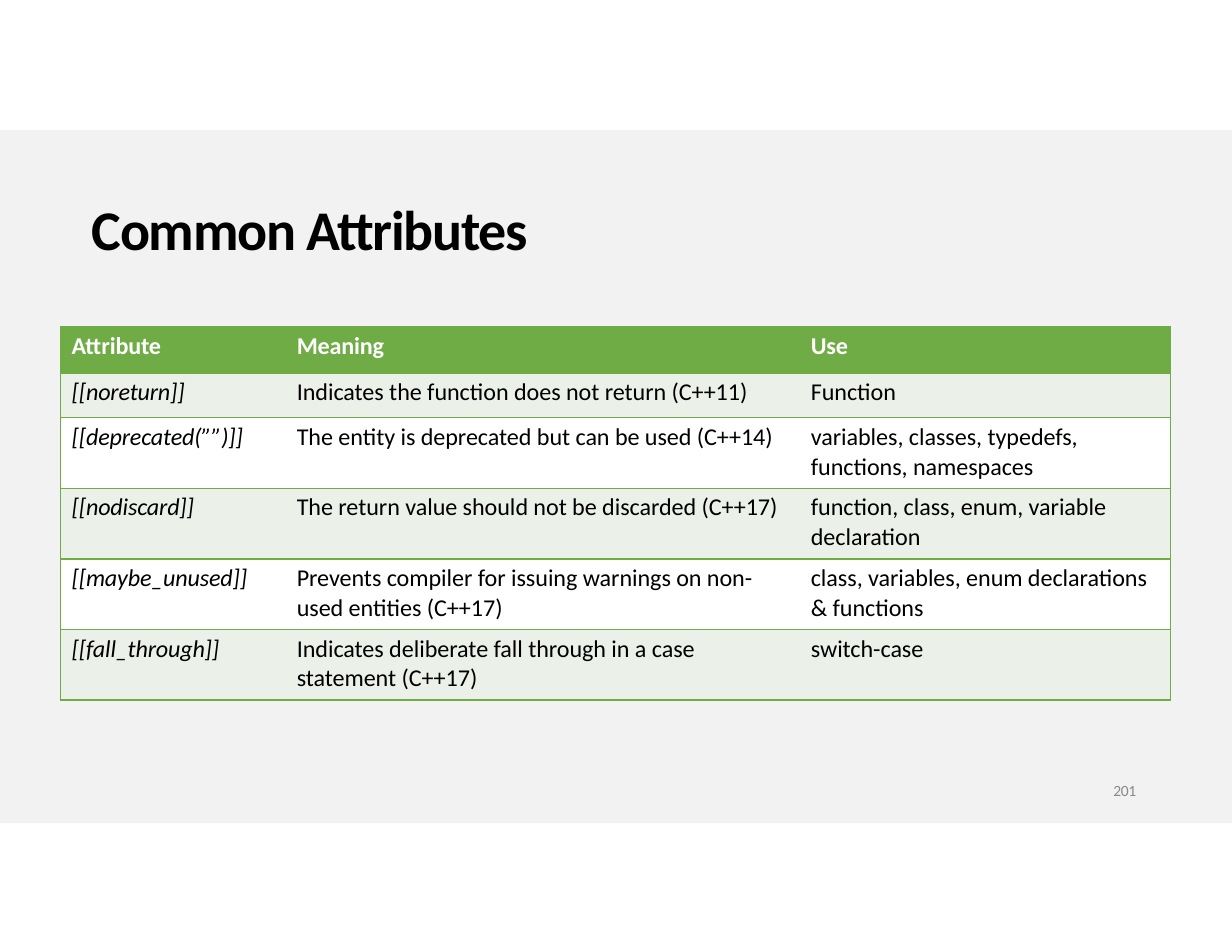
from lxml.etree import SubElement
from pptx import Presentation
from pptx.dml.color import RGBColor
from pptx.enum.shapes import MSO_SHAPE
from pptx.enum.text import MSO_ANCHOR, MSO_AUTO_SIZE, PP_ALIGN
from pptx.oxml.ns import qn
from pptx.util import Inches, Pt

COLORS = {
    "band": "F2F2F2",
    "green": "70AC46",
    "tint": "EBF0E8",
    "white": "FFFFFF",
    "black": "000000",
    "gray": "898989",
}
COLUMN_WIDTHS = [1.91, 4.68, 3.32]
COLUMN_INSETS = [0.1, 0.2, 0.11]
ROW_HEIGHTS = [0.41, 0.4] + [0.63] * 4
ROWS = [
    ("Attribute", "Meaning", "Use"),
    ("[[noreturn]]", "Indicates the function does not return (C++11)", "Function"),
    ("[[deprecated(””)]]", "The entity is deprecated but can be used (C++14)",
     "variables, classes, typedefs, functions, namespaces"),
    ("[[nodiscard]]", "The return value should not be discarded (C++17)",
     "function, class, enum, variable declaration"),
    ("[[maybe_unused]]", "Prevents compiler for issuing warnings on non- used entities (C++17)",
     "class, variables, enum declarations & functions"),
    ("[[fall_through]]", "Indicates deliberate fall through in a case statement (C++17)",
     "switch-case"),
]


def rgb(name):
    return RGBColor.from_string(COLORS[name])


def style_text(paragraph, size, color, bold=False, italic=False, spacing=0):
    for run in paragraph.runs:
        font = run.font
        font.name, font.size = "Calibri", Pt(size)
        font.bold, font.italic = bold, italic
        font.color.rgb = rgb(color)
        run._r.get_or_add_rPr().set("spc", str(round(spacing * 100)))


def set_frame(text_frame, top_inset):
    text_frame.word_wrap = True
    text_frame.auto_size = MSO_AUTO_SIZE.NONE
    text_frame.vertical_anchor = MSO_ANCHOR.TOP
    text_frame.margin_left = text_frame.margin_right = text_frame.margin_bottom = 0
    text_frame.margin_top = Inches(top_inset)


def add_band(slide):
    band = slide.shapes.add_shape(
        MSO_SHAPE.RECTANGLE, 0, Inches(1.16), Inches(11), Inches(6.19))
    band.shadow.inherit = False
    band.fill.solid()
    band.fill.fore_color.rgb = rgb("band")
    band.line.fill.background()
    # Send the band behind the title
    slide.shapes._spTree.insert(2, band._element)


def set_title(slide, text):
    title = slide.shapes.title
    title.left, title.top = Inches(0.82), Inches(1.7)
    title.width, title.height = Inches(7.23), Inches(0.64)
    set_frame(title.text_frame, 0.04)
    title.text_frame.text = text
    paragraph = title.text_frame.paragraphs[0]
    paragraph.alignment = PP_ALIGN.LEFT
    style_text(paragraph, 36, "black", bold=True, spacing=-0.85)


def set_borders(cell, visible_sides):
    properties = cell._tc.get_or_add_tcPr()
    for index, side in enumerate(("lnL", "lnR", "lnT", "lnB")):
        line = properties.makeelement(qn(f"a:{side}"), {"w": str(Pt(1))})
        properties.insert(index, line)
        if side in visible_sides:
            fill = SubElement(line, qn("a:solidFill"))
            SubElement(fill, qn("a:srgbClr"), val=COLORS["green"])
        else:
            SubElement(line, qn("a:noFill"))


def fill_cell(cell, text, row, column):
    header = row == 0
    cell.margin_left = Inches(COLUMN_INSETS[column])
    cell.margin_right = Inches(0.12)
    cell.margin_top, cell.margin_bottom = Inches(0.04), 0
    cell.vertical_anchor = MSO_ANCHOR.TOP
    cell.text = text
    paragraph = cell.text_frame.paragraphs[0]
    if not header:
        paragraph.line_spacing = 1.01
    style_text(paragraph, 15.5, "white" if header else "black", bold=header,
               italic=column == 0 and not header,
               spacing=-0.1 if header or column == 0 else -0.02)
    cell.fill.solid()
    cell.fill.fore_color.rgb = rgb("green" if header else "tint" if row % 2 else "white")
    # Horizontal rules everywhere, vertical ones on the outer edges only
    outer = {0: ["lnL"], len(COLUMN_WIDTHS) - 1: ["lnR"]}.get(column, [])
    set_borders(cell, ["lnT", "lnB"] + outer)


def add_attribute_table(slide):
    table = slide.shapes.add_table(
        len(ROWS), len(COLUMN_WIDTHS), Inches(0.54), Inches(2.92),
        Inches(sum(COLUMN_WIDTHS)), Inches(sum(ROW_HEIGHTS))).table
    for column, width in zip(table.columns, COLUMN_WIDTHS):
        column.width = Inches(width)
    for row, height in zip(table.rows, ROW_HEIGHTS):
        row.height = Inches(height)
    for row, texts in enumerate(ROWS):
        for column, text in enumerate(texts):
            fill_cell(table.cell(row, column), text, row, column)


def add_page_number(slide, number):
    box = slide.shapes.add_textbox(Inches(9.94), Inches(6.95), Inches(0.24), Inches(0.19))
    set_frame(box.text_frame, 0.02)
    box.text_frame.text = number
    paragraph = box.text_frame.paragraphs[0]
    style_text(paragraph, 10, "gray", spacing=-0.2)


def main():
    presentation = Presentation()
    presentation.slide_width, presentation.slide_height = Inches(11), Inches(8.5)
    slide = presentation.slides.add_slide(presentation.slide_layouts[5])
    add_band(slide)
    set_title(slide, "Common Attributes")
    add_attribute_table(slide)
    add_page_number(slide, "201")
    presentation.save("out.pptx")


if __name__ == "__main__":
    main()
